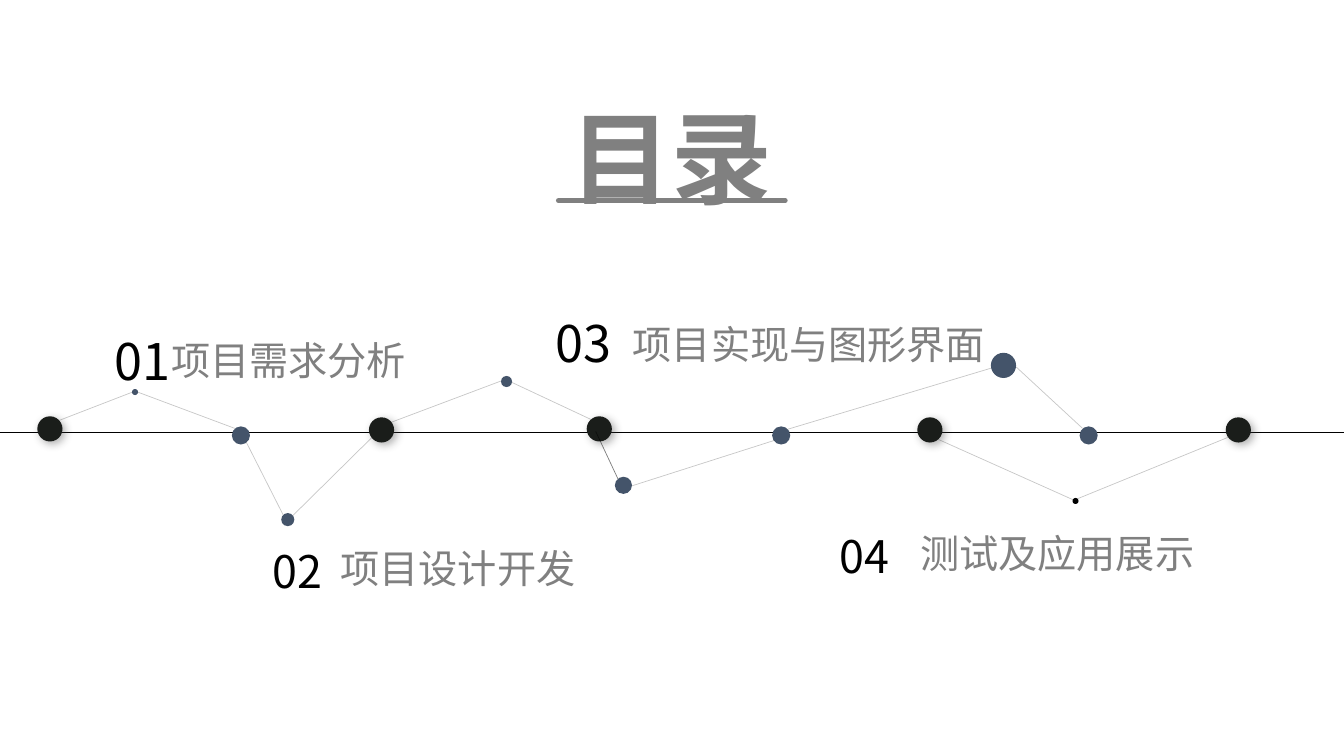
from lxml.etree import SubElement as Sub
from pptx import Presentation
from pptx.dml.color import RGBColor
from pptx.enum.shapes import MSO_CONNECTOR as Conn, MSO_SHAPE as Shape
from pptx.enum.text import MSO_ANCHOR as Anchor, MSO_AUTO_SIZE as Fit, PP_ALIGN as Align
from pptx.oxml.ns import qn
from pptx.util import Inches, Pt

CELL = 0.1
WIDE, HIGH = 133.33, 75
FONT = "Noto Sans CJK SC"
BLACK, GREY, BLUE, DARK = "000000", "808080", "44546A", "1A1D1A"
AXIS = 42.9
STOPS = [(4.95, 42.55), (37.85, 42.65), (59.45, 42.55), (92.25, 42.65), (122.85, 42.65)]
TURNS = [(23.9, 43.2), (77.5, 43.2), (108, 43.2)]
PEAKS = [
    (28.55, 51.55, 1.3, BLUE), (50.25, 37.85, 1.1, BLUE), (61.85, 48.15, 1.7, BLUE),
    (99.55, 36.25, 2.5, BLUE), (13.4, 38.9, 0.6, BLUE), (106.7, 49.7, 0.6, BLACK),
]
LINKS = [
    (5.9, 41.7, 13.4, 38.8, 21), (13.4, 38.8, 23.3, 42.5, 21),
    (24.4, 43.8, 28.1, 51.1, 21), (29, 51.2, 36.9, 43.4, 21),
    (38.8, 41.9, 49.7, 37.8, 21), (58.6, 41.6, 50.7, 37.9, 21),
    (59.1, 42.8, 61.3, 47.5, 51), (76.8, 43.7, 62.7, 48.2, 21),
    (98.4, 36.5, 78.1, 42.6, 21), (107.4, 42.5, 100.8, 36.4, 21),
    (106.5, 49.6, 93.1, 43.6, 21), (121.8, 43.4, 106.6, 49.6, 21),
]
ITEMS = [
    ("01", 4.5, 32.3, 36, "项目需求分析", 16, 32.9, 30.4),
    ("02", 19.9, 53.4, 32, "项目设计开发", 32.8, 53.5, 36.2),
    ("03", 48.2, 30.5, 36, "项目实现与图形界面", 61.8, 31.3, 40.3),
    ("04", 76.1, 52, 32, "测试及应用展示", 90.3, 52, 36.2),
]


def grid(*cells):
    """Turn grid cells into slide lengths."""
    return [Inches(cell * CELL) for cell in cells]


def paint(color, tone):
    """Give a colour format its hex tone."""
    color.rgb = RGBColor.from_string(tone)


def line(slide, ends, tone, width, alpha=100, cap="flat"):
    """Draw a straight line between two grid points."""
    link = slide.shapes.add_connector(Conn.STRAIGHT, *grid(*ends))
    link.line.width = Pt(width)
    paint(link.line.color, tone)
    props = link._element.spPr
    stroke = props.find(qn("a:ln"))
    stroke.set("cap", cap)
    if alpha < 100:
        Sub(stroke.find(".//" + qn("a:srgbClr")), qn("a:alpha"), val=str(alpha * 1000))
    Sub(props, qn("a:effectLst"))


def dot(slide, x, y, size, tone):
    """Draw a filled circle about a grid point."""
    disc = slide.shapes.add_shape(Shape.OVAL, *grid(x - size / 2, y - size / 2, size, size))
    disc.fill.solid()
    paint(disc.fill.fore_color, tone)
    disc.line.fill.background()
    disc.shadow.inherit = False
    return disc


def shade(disc):
    """Cast a soft shadow to the lower right."""
    effects = disc._element.spPr.find(qn("a:effectLst"))
    cast = Sub(effects, qn("a:outerShdw"), blurRad=str(Pt(6)), dist=str(Pt(3)),
               dir=str(45 * 60000), algn="tl", rotWithShape="0")
    tint = Sub(cast, qn("a:srgbClr"), val="404040")
    Sub(tint, qn("a:alpha"), val="40000")


def write(box, text, size, tone, align=Align.LEFT):
    """Put one styled paragraph in a box."""
    frame = box.text_frame
    frame.word_wrap = True
    frame.auto_size = Fit.SHAPE_TO_FIT_TEXT
    par = frame.paragraphs[0]
    par.text = text
    par.alignment = align
    par.font.size = Pt(size)
    par.font.name = FONT
    paint(par.font.color, tone)
    Sub(par._p.pPr.find(qn("a:defRPr")), qn("a:ea"), typeface=FONT)
    return par


def label(slide, place, *style):
    """Add a text box on the grid."""
    write(slide.shapes.add_textbox(*grid(*place)), *style)


def head(slide, text):
    """Place and style the slide title."""
    title = slide.shapes.title
    title.left, title.top, title.width, title.height = grid(42, 4, 49.2, 17)
    title.text_frame.vertical_anchor = Anchor.MIDDLE
    par = write(title, text, 72, GREY, Align.CENTER)
    par.font.bold = True
    par.line_spacing = 1.5


def main():
    """Build the contents slide."""
    deck = Presentation()
    deck.slide_width, deck.slide_height = grid(WIDE, HIGH)
    slide = deck.slides.add_slide(deck.slide_layouts[5])
    head(slide, "目录")
    line(slide, (55.4, 19.9, 77.9, 19.9), GREY, 3.5, cap="rnd")
    line(slide, (0, AXIS, WIDE, AXIS), BLACK, 0.75)
    for x, y in TURNS:
        dot(slide, x, y, 1.8, BLUE)
    for x, y in STOPS:
        shade(dot(slide, x, y, 2.5, DARK))
    for *ends, alpha in LINKS:
        line(slide, ends, BLACK, 0.5, alpha)
    for peak in PEAKS:
        dot(slide, *peak)
    for num, x, y, size, text, left, top, width in ITEMS:
        label(slide, (x, y, 19.3, size / 5), num, size, BLACK, Align.CENTER)
        label(slide, (left, top, width, 5.7), text, 28, GREY)
    deck.save("out.pptx")


if __name__ == "__main__":
    main()
